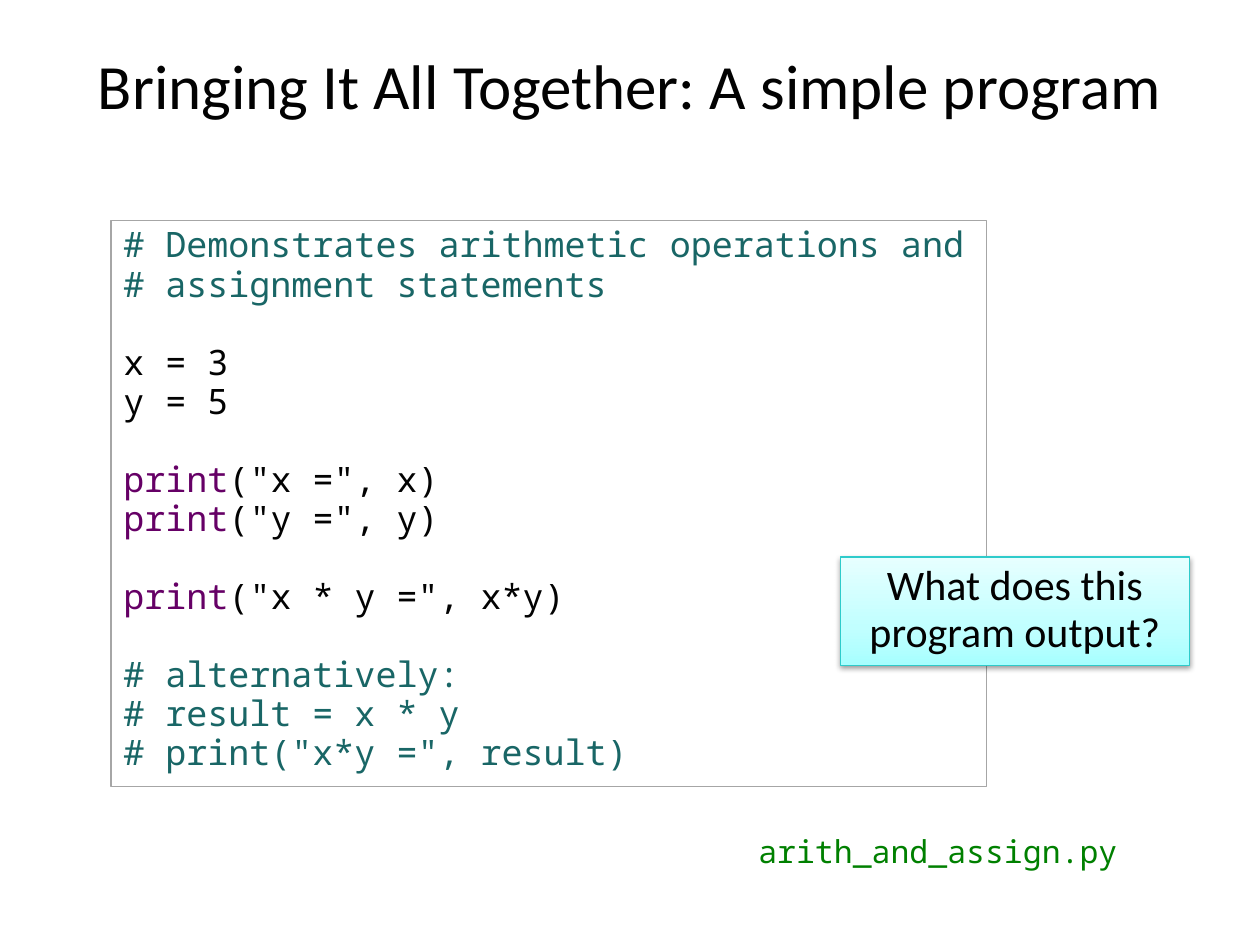
from copy import deepcopy
from dataclasses import dataclass

from lxml.etree import SubElement
from pptx import Presentation
from pptx.dml.color import RGBColor
from pptx.enum.shapes import MSO_SHAPE
from pptx.enum.text import MSO_ANCHOR, PP_ALIGN
from pptx.oxml.ns import qn
from pptx.util import Inches, Pt


@dataclass(frozen=True)
class Theme:
    body_font: str = "Calibri"
    code_font: str = "Noto Sans Mono"
    title_size: int = 36
    question_size: int = 24
    code_size: int = 20
    file_size: int = 18
    line_spacing: float = 0.93
    block_gap: float = 22.3
    text: str = "020202"
    comment: str = "196666"
    keyword: str = "660066"
    file_name: str = "008000"
    code_border: str = "A6A6A6"
    question_border: str = "2ECBCB"
    question_gradient: tuple = ((0, "A7FFFF"), (0.35, "C1FFFF"), (1, "E7FFFF"))


THEME = Theme()

# Content
TITLE = "Bringing It All Together: A simple program"
QUESTION = "What does this program output?"
FILE_NAME = "arith_and_assign.py"
CODE_BLOCKS = [
    ["# Demonstrates arithmetic operations and", "# assignment statements"],
    ["x = 3", "y = 5"],
    ['print("x =", x)', 'print("y =", y)'],
    ['print("x * y =", x*y)'],
    ["# alternatively:", "# result = x * y", '# print("x*y =", result)'],
]


def color(value):
    return RGBColor.from_string(value)


def code_runs(line):
    """Split a code line into (text, colour) runs."""
    if line.startswith("#"):
        return [(line, THEME.comment)]
    if line.startswith("print"):
        return [("print", THEME.keyword), (line[len("print"):], THEME.text)]
    return [(line, THEME.text)]


def write(paragraph, runs, font, size, align=PP_ALIGN.LEFT, spacing=THEME.line_spacing):
    paragraph.alignment = align
    paragraph.line_spacing = spacing
    for text, run_color in runs:
        run = paragraph.add_run()
        run.text = text
        run.font.name = font
        run.font.size = Pt(size)
        run.font.color.rgb = color(run_color)


def prepare(shape, anchor=MSO_ANCHOR.TOP):
    frame = shape.text_frame
    frame.word_wrap = True
    frame.vertical_anchor = anchor
    return frame


def add_box(slide, place, border):
    shape = slide.shapes.add_shape(MSO_SHAPE.RECTANGLE, *map(Inches, place))
    shape.shadow.inherit = False
    shape.fill.background()
    shape.line.color.rgb = color(border)
    shape.line.width = Pt(0.75)
    return shape


def fill_gradient(shape, stops):
    shape.fill.gradient()
    shape.fill.gradient_angle = 90
    stop_list = shape.element.spPr.find(qn("a:gradFill")).find(qn("a:gsLst"))
    stop_list.append(deepcopy(stop_list[-1]))
    for stop, (position, value) in zip(shape.fill.gradient_stops, stops):
        stop.position = position
        stop.color.rgb = color(value)


def add_shadow(shape, blur, distance, opacity):
    effects = shape.element.spPr.find(qn("a:effectLst"))
    shadow = SubElement(effects, qn("a:outerShdw"), blurRad=str(Pt(blur)),
                        dist=str(Pt(distance)), dir="5400000", rotWithShape="0")
    black = SubElement(shadow, qn("a:srgbClr"), val="000000")
    SubElement(black, qn("a:alpha"), val=str(opacity * 1000))


presentation = Presentation()
presentation.slide_width = Inches(10)
presentation.slide_height = Inches(7.5)
slide = presentation.slides.add_slide(presentation.slide_layouts[6])

# Title
title = slide.shapes.add_textbox(*map(Inches, (0.25, 0.08, 9.5, 1.16)))
write(prepare(title, MSO_ANCHOR.MIDDLE).paragraphs[0], [(TITLE, THEME.text)],
      THEME.body_font, THEME.title_size, PP_ALIGN.CENTER, 1.02)

# Program listing
listing = add_box(slide, (0.88, 1.75, 6.95, 4.49), THEME.code_border)
listing_frame = prepare(listing)
paragraph = listing_frame.paragraphs[0]
for block_index, block in enumerate(CODE_BLOCKS):
    for line_index, line in enumerate(block):
        if block_index or line_index:
            paragraph = listing_frame.add_paragraph()
        if block_index and not line_index:
            paragraph.space_before = Pt(THEME.block_gap)
        write(paragraph, code_runs(line), THEME.code_font, THEME.code_size)

# Question
question = add_box(slide, (6.67, 4.42, 2.77, 0.86), THEME.question_border)
fill_gradient(question, THEME.question_gradient)
add_shadow(question, blur=3.1, distance=1.6, opacity=38)
write(prepare(question).paragraphs[0], [(QUESTION, THEME.text)],
      THEME.body_font, THEME.question_size, PP_ALIGN.CENTER)

# File name
file_label = slide.shapes.add_textbox(*map(Inches, (5.92, 6.58, 4.04, 0.48)))
write(prepare(file_label).paragraphs[0], [(FILE_NAME, THEME.file_name)],
      THEME.code_font, THEME.file_size)

presentation.save("out.pptx")
